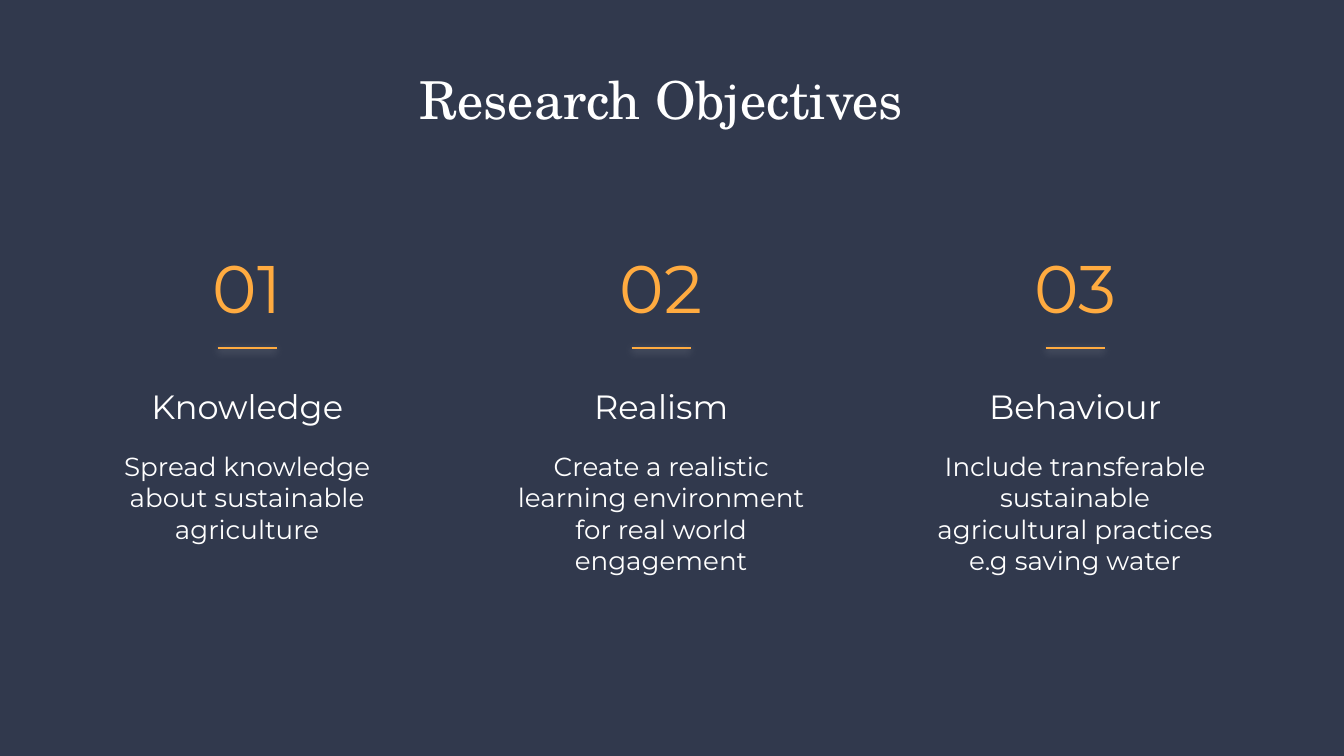
from lxml.etree import SubElement as Sub
from pptx import Presentation
from pptx.dml.color import RGBColor
from pptx.enum.shapes import MSO_CONNECTOR as Link
from pptx.enum.text import MSO_ANCHOR as Anchor, PP_ALIGN as Align
from pptx.oxml.ns import qn
from pptx.util import Inches, Pt

NAVY, WHITE, AMBER = "31394D", "FFFFFF", "FFAB40"
TITLE = {"name": "TeX Gyre Schola", "size": Pt(28)}
NUMBER = {"name": "Montserrat", "size": Pt(36)}
HEAD = {"name": "Montserrat", "size": Pt(18)}
BODY = {"name": "Montserrat", "size": Pt(14)}
LEFT, TOP, WIDTH, STEP = 0.71, 1.74, 2.26, 3.08
GOALS = [
    ("Knowledge", "Spread knowledge about sustainable agriculture", 0),
    ("Realism", "Create a realistic learning environment for real world engagement", 0.06),
    ("Behaviour", "Include transferable sustainable agricultural practices e.g saving water", 0),
]


def color(code):
    """Turn a hex string into a colour."""
    return RGBColor.from_string(code)


def label(slide, box, text, style, code=WHITE, anchor=Anchor.TOP):
    """Place centred text in a box."""
    frame = slide.shapes.add_textbox(*map(Inches, box)).text_frame
    form = {"word_wrap": True, "vertical_anchor": anchor}
    for side in ("left", "right", "top", "bottom"):
        form["margin_" + side] = Inches(0.1)
    for key, value in form.items():
        setattr(frame, key, value)
    para = frame.paragraphs[0]
    para.alignment = Align.CENTER
    run = para.add_run()
    run.text = text
    for key, value in style.items():
        setattr(run.font, key, value)
    run.font.color.rgb = color(code)


def rule(slide, left, top, width):
    """Draw an amber line with a soft white glow below it."""
    ends = map(Inches, (left, top, left + width, top))
    line = slide.shapes.add_connector(Link.STRAIGHT, *ends)
    line.line.color.rgb = color(AMBER)
    line.line.width = Pt(0.75)
    glow = Sub(line._element.spPr, qn("a:effectLst"))
    shade = Sub(glow, qn("a:outerShdw"), blurRad=str(Pt(4.5)), dist=str(Pt(1.5)),
                dir="5400000", algn="bl", rotWithShape="0")
    tint = Sub(shade, qn("a:srgbClr"), val=WHITE)
    Sub(tint, qn("a:alpha"), val="50000")


def column(slide, left, top, width, number, goal):
    """Place one numbered objective."""
    head, body, extra = goal
    label(slide, (left, top, width, 0.79), f"{number:02}", NUMBER, AMBER, Anchor.BOTTOM)
    rule(slide, left + width / 2 - 0.22, top + 0.85, 0.44)
    label(slide, (left, top + 0.93, width, 0.6), head, HEAD, anchor=Anchor.BOTTOM)
    label(slide, (left - extra, top + 1.51, width + 2 * extra, 1.35), body, BODY)


def main():
    """Build and save the slide."""
    deck = Presentation()
    deck.slide_width = Inches(10)
    deck.slide_height = deck.slide_width * 9 // 16
    slide = deck.slides.add_slide(deck.slide_layouts[6])
    fill = slide.background.fill
    fill.solid()
    fill.fore_color.rgb = color(NAVY)
    label(slide, (0.38, 0.4, 9.08, 0.67), "Research Objectives", TITLE)
    for i, goal in enumerate(GOALS):
        column(slide, LEFT + i * STEP, TOP, WIDTH, i + 1, goal)
    deck.save("out.pptx")


if __name__ == "__main__":
    main()
